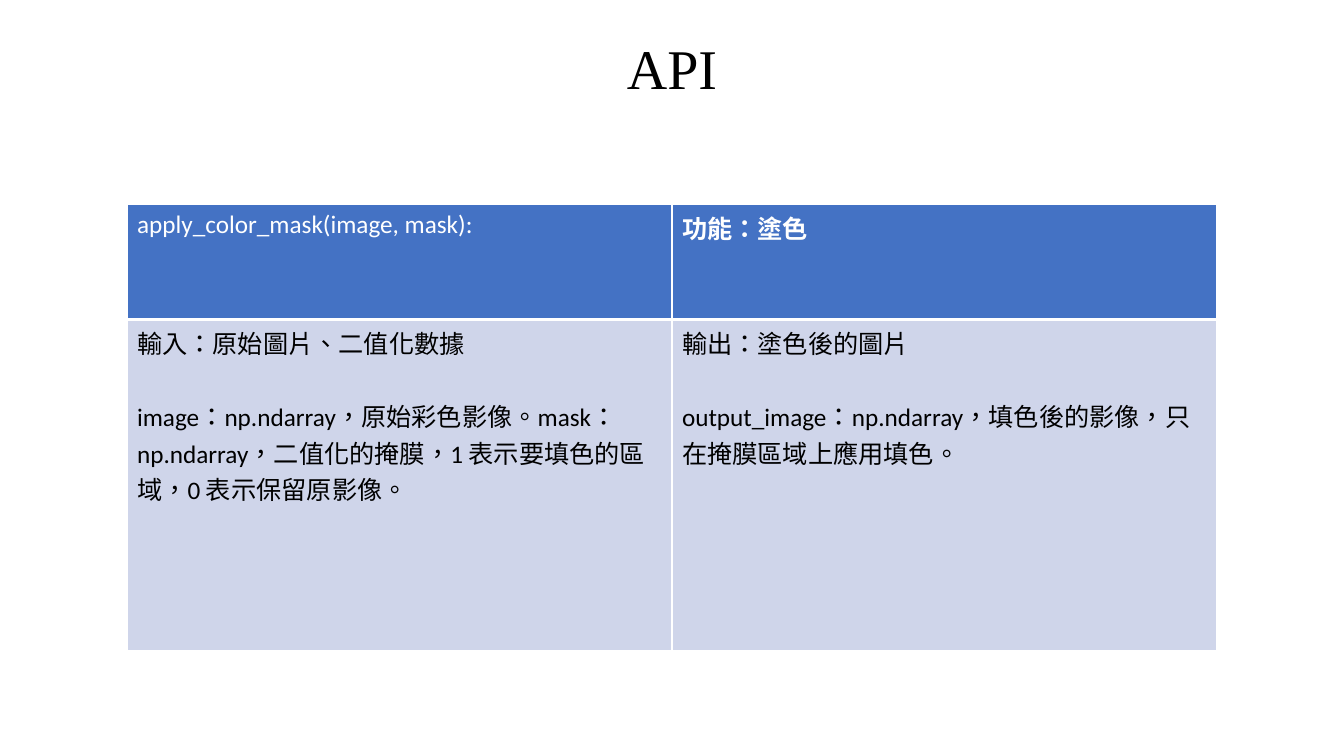
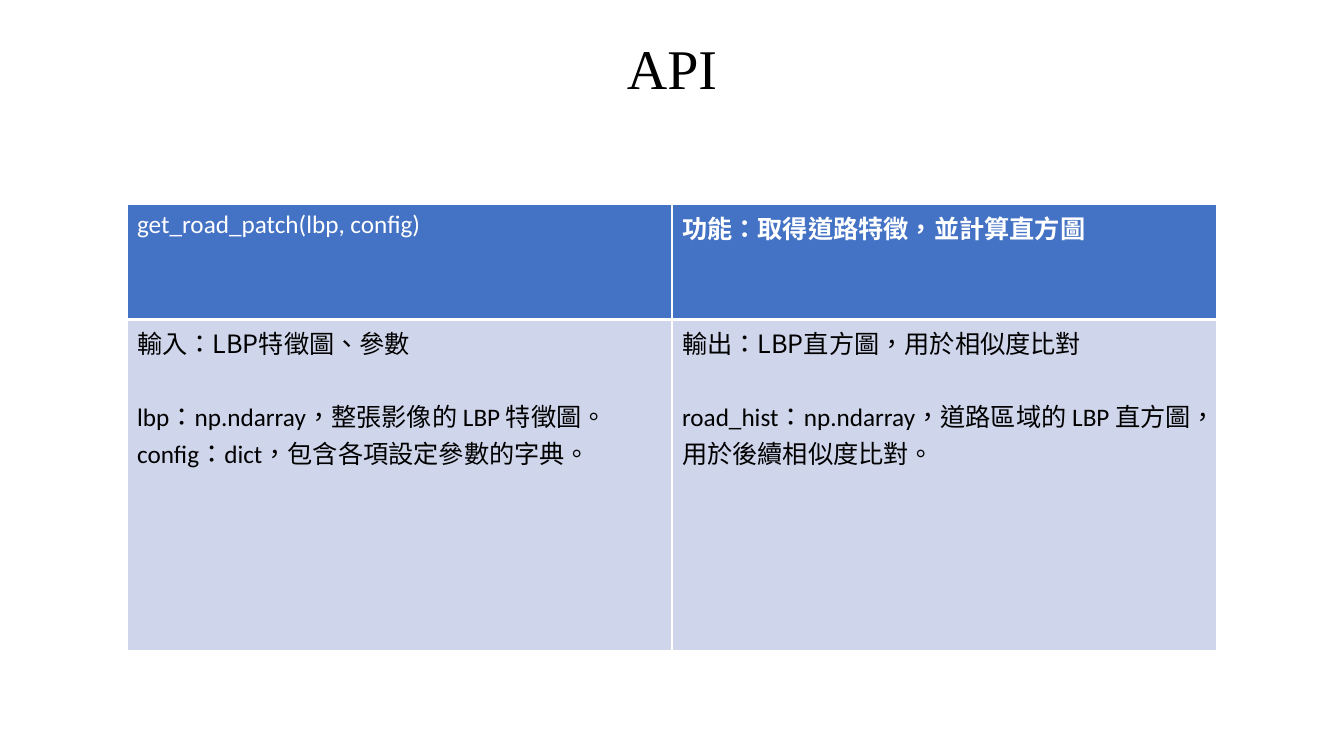
import pptx
import pptx.util
import pptx.dml.color
import pptx.enum.text
import pptx.oxml
import pptx.oxml.ns

Inches = pptx.util.Inches
Pt = pptx.util.Pt
COLORS = {"header": "4472C4", "body": "CFD5EA", "white": "FFFFFF", "black": "000000"}
LATIN, CHINESE, SERIF = "Calibri", "Noto Sans CJK SC", "Times New Roman"
COLUMN_WIDTH = 5.405
ROW_HEIGHTS = [1.14, 3.28]
TABLE_LEFT, TABLE_TOP = 1.26, 2.03
TITLE_BOX = {"left": 2.09, "top": 0.27, "width": 9.15, "height": 0.77}
TITLE_FRAME = {
    "auto_size": pptx.enum.text.MSO_AUTO_SIZE.NONE,
    "vertical_anchor": pptx.enum.text.MSO_ANCHOR.BOTTOM,
    "margin_bottom": Inches(0.04),
    "word_wrap": True,
}
BORDER_WIDTHS = [
    {"lnL": 1, "lnR": 1, "lnT": 1, "lnB": 3},
    {"lnL": 1, "lnR": 1, "lnT": 3, "lnB": 1},
]

PAGES = [
    [
        ["apply_color_mask(image, mask):", "功能：塗色"],
        [
            [
                "輸入：原始圖片、二值化數據",
                "image：np.ndarray，原始彩色影像。mask：np.ndarray，二值化的掩膜，1 表示要填色的區域，0 表示保留原影像。",
            ],
            [
                "輸出：塗色後的圖片",
                "output_image：np.ndarray，填色後的影像，只在掩膜區域上應用填色。",
            ],
        ],
    ],
    [
        ["get_road_patch(lbp, config)", "功能：取得道路特徵，並計算直方圖"],
        [
            [
                "輸入：LBP特徵圖、參數",
                "lbp：np.ndarray，整張影像的 LBP 特徵圖。config：dict，包含各項設定參數的字典。",
            ],
            [
                "輸出：LBP直方圖，用於相似度比對",
                "road_hist：np.ndarray，道路區域的 LBP 直方圖，用於後續相似度比對。",
            ],
        ],
    ],
]


def write_span(para, text, font, size, color, bold=False):
    span = para.add_run()
    span.text = text
    for name, value in {"name": font, "size": Pt(size), "bold": bold}.items():
        setattr(span.font, name, value)
    span.font.color.rgb = pptx.dml.color.RGBColor.from_string(COLORS[color])
    properties = span._r.get_or_add_rPr()
    properties.set("lang", "zh-TW")
    east_asian = pptx.oxml.parse_xml(
        f'<a:ea {pptx.oxml.ns.nsdecls("a")} typeface="{CHINESE}"/>'
    )
    properties.find(pptx.oxml.ns.qn("a:latin")).addnext(east_asian)


def style_cell(cell, fill, border_widths):
    properties = cell._tc.get_or_add_tcPr()
    for side, width in border_widths.items():
        properties.append(pptx.oxml.parse_xml(
            f'<a:{side} {pptx.oxml.ns.nsdecls("a")} w="{Pt(width)}"><a:solidFill>'
            f'<a:srgbClr val="{COLORS["white"]}"/></a:solidFill></a:{side}>'
        ))
    cell.fill.solid()
    cell.fill.fore_color.rgb = pptx.dml.color.RGBColor.from_string(COLORS[fill])


deck = pptx.Presentation()
deck.slide_width, deck.slide_height = Inches(13.33), Inches(7.5)

for headings, descriptions in PAGES:
    page = deck.slides.add_slide(deck.slide_layouts[5])
    title = page.shapes.title
    for name, value in TITLE_BOX.items():
        setattr(title, name, Inches(value))
    for name, value in TITLE_FRAME.items():
        setattr(title.text_frame, name, value)
    title_para = title.text_frame.paragraphs[0]
    title_para.alignment = pptx.enum.text.PP_ALIGN.CENTER
    write_span(title_para, "API", SERIF, 40, "black")

    table = page.shapes.add_table(
        2, 2, Inches(TABLE_LEFT), Inches(TABLE_TOP),
        Inches(2 * COLUMN_WIDTH), Inches(sum(ROW_HEIGHTS)),
    ).table
    for column in table.columns:
        column.width = Inches(COLUMN_WIDTH)
    for row, height in zip(table.rows, ROW_HEIGHTS):
        row.height = Inches(height)

    for index, heading in enumerate(headings):
        cell = table.cell(0, index)
        style_cell(cell, "header", BORDER_WIDTHS[0])
        font = [LATIN, CHINESE][index]
        write_span(cell.text_frame.paragraphs[0], heading, font, 18, "white", index == 1)

    for index, (summary, details) in enumerate(descriptions):
        cell = table.cell(1, index)
        style_cell(cell, "body", BORDER_WIDTHS[1])
        write_span(cell.text_frame.paragraphs[0], summary, CHINESE, 18, "black")
        para = cell.text_frame.add_paragraph()
        para.space_before = Pt(26)
        write_span(para, details, LATIN, 18, "black")

deck.save("out.pptx")
